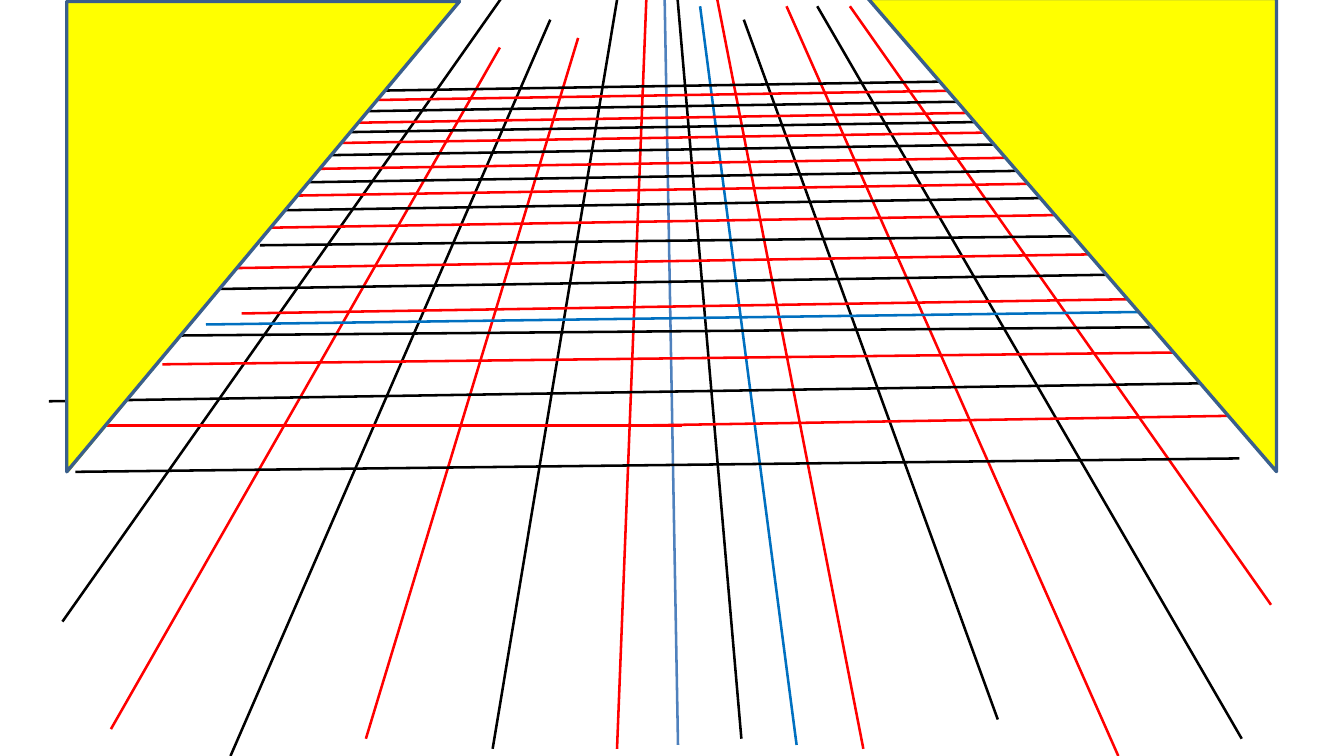
from lxml import etree
from pptx import Presentation
from pptx.dml.color import RGBColor
from pptx.enum.shapes import MSO_CONNECTOR, MSO_SHAPE
from pptx.oxml.ns import qn
from pptx.util import Cm, Pt

STRAIGHT = MSO_CONNECTOR.STRAIGHT
TRIANGLE = MSO_SHAPE.ISOSCELES_TRIANGLE

BLACK = RGBColor(0x00, 0x00, 0x00)
RED = RGBColor(0xFF, 0x00, 0x00)
BLUE = RGBColor(0x00, 0x70, 0xC0)
STEEL = RGBColor(0x4F, 0x81, 0xBD)
YELLOW = RGBColor(0xFF, 0xFF, 0x00)
OUTLINE = RGBColor(0x3A, 0x5F, 0x8C)

RAILS = [
    (BLUE, 16.59, 15.52, 14.58, 0.13),
    (RED, 23.29, 15.75, 16.38, 0.13),
    (RED, 2.31, 15.19, 10.41, 0.99),
    (BLACK, 4.8, 15.75, 11.46, 0.41),
    (RED, 7.62, 15.39, 12.04, 0.79),
    (BLACK, 10.26, 15.6, 12.85, 0),
    (RED, 12.85, 15.6, 13.46, 0),
    (STEEL, 13.84, -0.13, 14.12, 15.52),
    (BLACK, 15.44, 15.39, 14.1, -0.15),
    (BLACK, 1.3, 12.95, 10.52, -0.15),
    (BLACK, 20.78, 14.99, 15.49, 0.41),
    (RED, 17.98, 15.6, 14.94, 0),
    (BLACK, 25.86, 15.39, 17.02, 0.13),
    (RED, 26.47, 12.6, 17.7, 0.13),
]
NEAR_BARS = [
    (BLACK, 1.57, 9.83, 25.81, 9.55),
    (RED, 2.21, 8.86, 14.2, 8.86),
    (RED, 13.59, 8.86, 25.81, 8.66),
    (BLACK, 1.02, 8.36, 25.4, 7.98),
    (RED, 3.38, 7.59, 24.79, 7.34),
    (BLACK, 3.71, 6.99, 24.79, 6.81),
    (BLUE, 4.29, 6.76, 23.7, 6.5),
    (BLACK, 5.41, 5.11, 24.31, 4.9),
]
FAR_BAR_SPAN = 18.7
FAR_BAR_RISE = 0.3
FAR_BAR_STARTS = {
    RED: [(5.03, 6.53), (4.6, 5.59), (5.21, 4.75), (5.21, 4.09),
          (5.84, 3.53), (5.74, 3), (6.6, 2.57), (6.17, 2.11)],
    BLACK: [(4.6, 6.02), (5.31, 4.39), (5.59, 3.81), (5.77, 3.25),
            (6.17, 2.77), (6.17, 2.34), (6.55, 1.91)],
}
WALL_EDGES = [
    (YELLOW, 1.42, 9.83, 9.68, -0.13),
    (YELLOW, 26.59, 9.83, 18.08, -0.13),
]


class PerspectiveSlide:
    """Draws lines and walls on one slide in a shared style."""

    def __init__(self, slide, line_width=1.5, edge_width=0.75, outline_width=2):
        self.shapes = slide.shapes
        self.line_width = line_width
        self.edge_width = edge_width
        self.outline_width = outline_width

    def line(self, color, x1, y1, x2, y2, width=None):
        connector = self.shapes.add_connector(STRAIGHT, Cm(x1), Cm(y1), Cm(x2), Cm(y2))
        connector.line.color.rgb = color
        connector.line.width = Pt(width or self.line_width)
        etree.SubElement(connector._element.spPr, qn("a:effectLst"))

    def edge(self, color, x1, y1, x2, y2):
        self.line(color, x1, y1, x2, y2, self.edge_width)

    def wall(self, left, top, width, height, rotation, apex):
        shape = self.shapes.add_shape(TRIANGLE, Cm(left), Cm(top), Cm(width), Cm(height))
        shape.adjustments[0] = apex
        shape.rotation = rotation
        shape.shadow.inherit = False
        shape.fill.solid()
        shape.fill.fore_color.rgb = YELLOW
        shape.line.color.rgb = OUTLINE
        shape.line.width = Pt(self.outline_width)


def main():
    presentation = Presentation()
    presentation.slide_width = Cm(27.99)
    presentation.slide_height = Cm(15.75)
    drawing = PerspectiveSlide(presentation.slides.add_slide(presentation.slide_layouts[6]))

    for line in RAILS + NEAR_BARS:
        drawing.line(*line)
    for color, starts in FAR_BAR_STARTS.items():
        for x, y in starts:
            drawing.line(color, x, y, x + FAR_BAR_SPAN, y - FAR_BAR_RISE)
    for edge in WALL_EDGES:
        drawing.edge(*edge)
    drawing.wall(0.58, 0.84, 9.8, 8.18, rotation=90, apex=0)
    drawing.wall(17.4, 0.64, 9.86, 8.51, rotation=270, apex=1)

    presentation.save("out.pptx")


if __name__ == "__main__":
    main()
